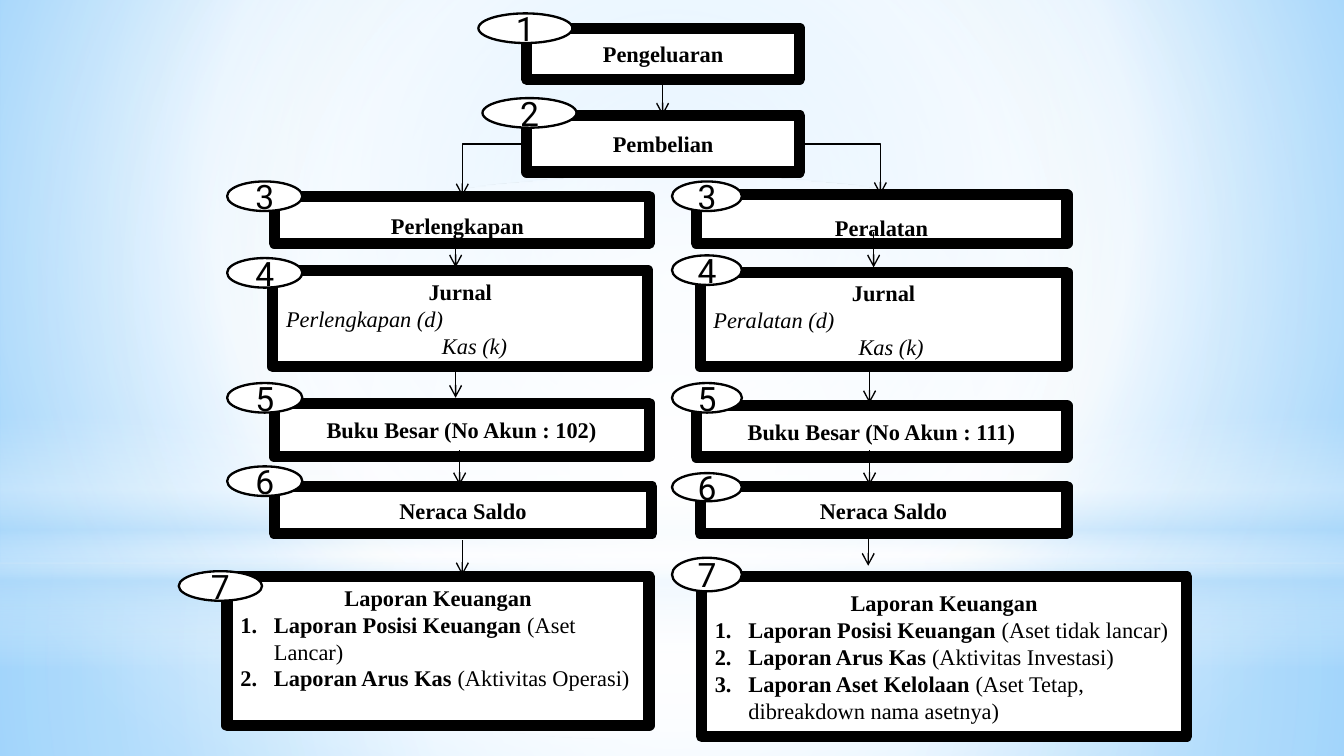
import pptx
import pptx.dml.color
import pptx.enum.shapes
import pptx.enum.text
import pptx.oxml
import pptx.oxml.ns
import pptx.util
from pptx.util import Inches

SHAPES = pptx.enum.shapes.MSO_SHAPE
ALIGN = pptx.enum.text.PP_ALIGN
CONNECTORS = pptx.enum.shapes.MSO_CONNECTOR
qn = pptx.oxml.ns.qn


def color(value):
    """Turn a hex string into a colour."""
    return pptx.dml.color.RGBColor.from_string(value)


def set_gradient(element, stops, center=None):
    """Replace the first solid fill inside element; stops are (position, colour, opacity)."""
    marks = "".join(
        f'<a:gs pos="{position * 1000}"><a:srgbClr val="{value}">'
        f'<a:alpha val="{opacity * 1000}"/></a:srgbClr></a:gs>'
        for position, value, opacity in stops)
    direction = '<a:lin ang="5400000" scaled="0"/>'
    if center:
        sides = " ".join(f'{side}="{share * 1000}"' for side, share in zip("ltrb", center))
        direction = f'<a:path path="circle"><a:fillToRect {sides}/></a:path>'
    gradient = pptx.oxml.parse_xml(
        f'<a:gradFill {pptx.oxml.ns.nsdecls("a")} rotWithShape="1">'
        f'<a:gsLst>{marks}</a:gsLst>{direction}</a:gradFill>')
    solid = element.find(".//" + qn("a:solidFill"))
    solid.getparent().replace(solid, gradient)


class Flowchart:
    """Style and current slide of the flowchart."""

    ink, paper = "000000", "FFFFFF"
    label_font, number_font = "Times New Roman", "Roboto"

    def __init__(self, page):
        """Keep the slide to draw on."""
        self.page = page

    def backdrop(self, stops, center):
        """Fill the slide background with a gradient."""
        self.page.background.fill.solid()
        self.page.background.fill.fore_color.rgb = color(self.paper)
        set_gradient(self.page._element, stops, center)

    def shape(self, kind, place, line_width=None):
        """Add a white shape, outlined when a line width is given."""
        shape = self.page.shapes.add_shape(kind, *map(Inches, place))
        shape.shadow.inherit = False
        shape.fill.solid()
        shape.fill.fore_color.rgb = color(self.paper)
        if line_width:
            shape.line.color.rgb = color(self.ink)
            shape.line.width = pptx.util.Pt(line_width)
        else:
            shape.line.fill.background()
        shape.text_frame.word_wrap = True
        shape.text_frame.vertical_anchor = pptx.enum.text.MSO_ANCHOR.MIDDLE
        return shape

    def glow(self, kind, place, stops, center=None):
        """Add a translucent gradient layer."""
        set_gradient(self.shape(kind, place)._element, stops, center)

    def span(self, para, text, size, font, bold=False, italic=False):
        """Add one formatted run."""
        span = para.add_run()
        span.text = text
        span.font.size = pptx.util.Pt(size)
        span.font.name = font
        span.font.bold, span.font.italic = bold, italic
        span.font.color.rgb = color(self.ink)

    def box(self, place, title, extra_top=0, extra_bottom=0, extra_right=0):
        """Add a step box with a bold centred title."""
        box = self.shape(SHAPES.RECTANGLE, place, 6)
        frame = box.text_frame
        frame.margin_top = Inches(0.05 + extra_top)
        frame.margin_bottom = Inches(0.05 + extra_bottom)
        frame.margin_right = Inches(0.1 + extra_right)
        para = frame.paragraphs[0]
        para.alignment = ALIGN.CENTER
        self.span(para, title, 12, self.label_font, bold=True)
        return box

    def journal(self, place, debit, credit_indent):
        """Add a journal box with a debit and an indented credit line."""
        frame = self.box(place, "Jurnal").text_frame
        for text, indent in ((debit, 0), ("Kas (k)", credit_indent)):
            para = frame.add_paragraph()
            para.alignment = ALIGN.LEFT
            para._p.get_or_add_pPr().set("marL", str(Inches(indent)))
            self.span(para, text, 12, self.label_font, italic=True)

    def reports(self, place, items, extra_bottom=0):
        """Add the report box with its numbered list."""
        frame = self.box(place, "Laporan Keuangan", extra_bottom=extra_bottom).text_frame
        for name, detail in items:
            para = frame.add_paragraph()
            para.alignment = ALIGN.LEFT
            self.span(para, name + " ", 12, self.label_font, bold=True)
            self.span(para, f"({detail})", 12, self.label_font)
            properties = para._p.get_or_add_pPr()
            properties.set("marL", str(Inches(0.25)))
            properties.set("indent", str(Inches(-0.25)))
            number = properties.makeelement(qn("a:buAutoNum"), {"type": "arabicPeriod"})
            properties.append(number)

    def badge(self, number, left, top, width, height=0.22):
        """Add a numbered ellipse."""
        badge = self.shape(SHAPES.OVAL, (left, top, width, height), 1.25)
        para = badge.text_frame.paragraphs[0]
        para.alignment = ALIGN.CENTER
        self.span(para, str(number), 18, self.number_font)

    def arrow(self, start, end, bent=False):
        """Add a straight or one-corner arrow."""
        kind = CONNECTORS.ELBOW if bent else CONNECTORS.STRAIGHT
        arrow = self.page.shapes.add_connector(kind, *map(Inches, start + end))
        arrow.line.color.rgb = color(self.ink)
        arrow.line.width = pptx.util.Pt(0.75)
        properties = arrow._element.spPr
        if bent:
            properties.find(qn("a:prstGeom")).set("prst", "bentConnector2")
        outline = arrow.line._get_or_add_ln()
        outline.append(outline.makeelement(qn("a:tailEnd"), {"type": "arrow"}))
        properties.append(properties.makeelement(qn("a:effectLst"), {}))


deck = pptx.Presentation()
deck.slide_width = Inches(10)
deck.slide_height = deck.slide_width * 9 // 16
chart = Flowchart(deck.slides.add_slide(deck.slide_layouts[6]))

WHITE, SKY = "FFFFFF", "B4DCFA"
MIDDLE = (50, 50, 50, 50)
chart.backdrop([(0, "9ED5FF", 100), (60, WHITE, 100), (100, "5BB9FF", 100)], (20, 10, 20, 60))
chart.glow(SHAPES.RECTANGLE, (0, 4.19, 10, 1.44),
           [(0, WHITE, 91), (37, WHITE, 76), (100, SKY, 79)], MIDDLE)
chart.glow(SHAPES.RECTANGLE, (0, 0, 10, 4.19),
           [(0, WHITE, 89), (48, WHITE, 62), (100, SKY, 79)], MIDDLE)
chart.glow(SHAPES.RECTANGLE, (0, 3.09, 10, 1.88),
           [(0, WHITE, 0), (29, WHITE, 30), (45, SKY, 40),
            (55, WHITE, 26), (65, SKY, 60), (100, WHITE, 0)])
chart.glow(SHAPES.OVAL, (0, 1.31, 10, 4.19), [(0, WHITE, 100), (56, WHITE, 0)], MIDDLE)

chart.box((3.92, 0.21, 2.03, 0.38), "Pengeluaran")
chart.box((3.92, 0.86, 2.03, 0.42), "Pembelian")

chart.box((2.04, 1.46, 2.79, 0.35), "Perlengkapan", extra_top=0.08, extra_right=0.06)
chart.journal((2.03, 2.01, 2.79, 0.72), "Perlengkapan (d)", 1.16)
chart.box((2.04, 3, 2.79, 0.4), "Buku Besar (No Akun : 102)")
chart.box((2.04, 3.62, 2.81, 0.35), "Neraca Saldo")
chart.reports((1.69, 4.29, 3.14, 1.11),
              [("Laporan Posisi Keuangan", "Aset Lancar"),
               ("Laporan Arus Kas", "Aktivitas Operasi")], extra_bottom=0.2)

chart.box((5.18, 1.45, 2.76, 0.36), "Peralatan", extra_top=0.12)
chart.journal((5.21, 2.03, 2.73, 0.7), "Peralatan (d)", 1.08)
chart.box((5.18, 3.02, 2.76, 0.38), "Buku Besar (No Akun : 111)")
chart.box((5.21, 3.62, 2.73, 0.35), "Neraca Saldo")
chart.reports((5.22, 4.29, 3.61, 1.19),
              [("Laporan Posisi Keuangan", "Aset tidak lancar"),
               ("Laporan Arus Kas", "Aktivitas Investasi"),
               ("Laporan Aset Kelolaan", "Aset Tetap, dibreakdown nama asetnya")])

chart.badge(1, 3.56, 0.1, 0.7)
chart.badge(2, 3.59, 0.73, 0.7)
for number, top in enumerate((1.35, 1.92, 2.85, 3.47), start=3):
    chart.badge(number, 1.69, top, 0.56)
chart.badge(7, 1.33, 4.25, 0.62)
right_badges = ((1.35, 0.22), (1.9, 0.22), (2.85, 0.22), (3.52, 0.21), (4.15, 0.25))
for number, (top, height) in enumerate(right_badges, start=3):
    chart.badge(number, 5, top, 0.52, height)

down_arrows = ((4.93, 0.6),
               (3.39, 1.73), (3.39, 2.7), (3.42, 3.35), (3.44, 4.02),
               (6.5, 1.73), (6.47, 2.74), (6.47, 3.35), (6.46, 3.95))
for x, top in down_arrows:
    chart.arrow((x, top), (x, top + 0.26))
chart.arrow((3.92, 1.07), (3.44, 1.46), bent=True)
chart.arrow((5.94, 1.07), (6.55, 1.45), bent=True)

deck.save("out.pptx")
